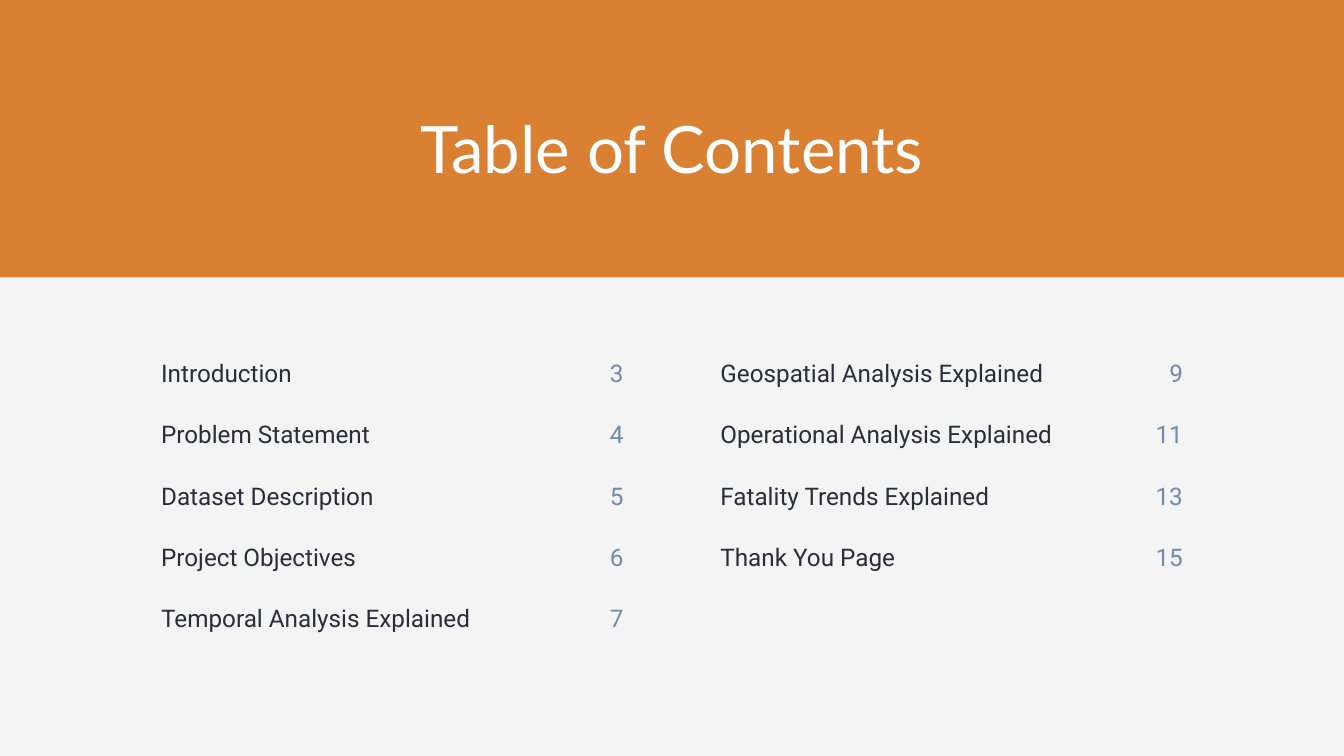
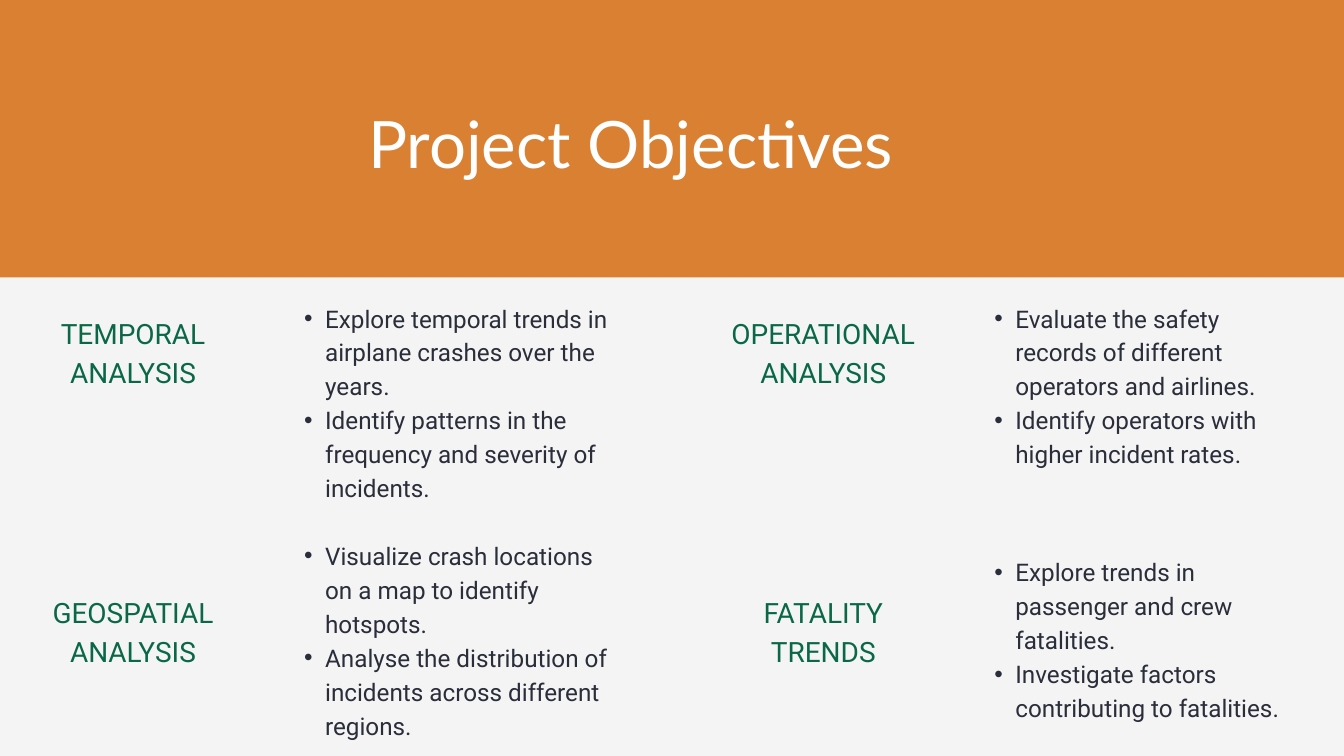
from dataclasses import dataclass

from lxml.etree import SubElement
from pptx import Presentation
from pptx.dml.color import RGBColor
from pptx.enum.shapes import MSO_SHAPE
from pptx.enum.text import MSO_ANCHOR, MSO_AUTO_SIZE, PP_ALIGN
from pptx.oxml.ns import qn
from pptx.util import Cm, Pt


@dataclass(frozen=True)
class TextStyle:
    font: str
    size: float
    line_spacing: float
    color: str


@dataclass(frozen=True)
class Theme:
    band: str = "D98032"
    panel: str = "F4F4F4"
    title: TextStyle = TextStyle("Lato", 70, 91, "FFFFFF")
    label: TextStyle = TextStyle("Roboto", 30, 42, "0A6847")
    body: TextStyle = TextStyle("Roboto", 26, 36.4, "2A2E3A")
    page: TextStyle = TextStyle("Roboto", 26, 36.4, "718BAB")


THEME = Theme()
SLIDE_WIDTH = Cm(50.8)
SLIDE_HEIGHT = Cm(28.58)
PANEL_TOP = Cm(10.49)
TITLE_ONLY_LAYOUT = 5

CONTENTS_TOP = Cm(12.9)
CONTENTS_COLUMNS = (Cm(14.5), Cm(3.84))
CONTENTS_ROW = Cm(2.31)
CONTENTS = [
    (Cm(5.66), [
        ("Introduction", "3"),
        ("Problem Statement", "4"),
        ("Dataset Description", "5"),
        ("Project Objectives", "6"),
        ("Temporal Analysis Explained", "7"),
    ]),
    (Cm(26.8), [
        ("Geospatial Analysis Explained", "9"),
        ("Operational Analysis Explained", "11"),
        ("Fatality Trends Explained", "13"),
        ("Thank You Page", "15"),
    ]),
]

LABEL_WIDTH, LABEL_HEIGHT = Cm(8.84), Cm(3.86)
PILL_HEIGHT = Cm(3.15)
GOALS_OFFSET = Cm(10.13)
GOALS_WIDTH = Cm(12.4)
LEFT, RIGHT = Cm(0.61), Cm(26.7)
UPPER, LOWER = Cm(11.3), Cm(21.84)
# Each objective: left, label top, goals top, goals height, label, goals
OBJECTIVES = [
    (LEFT, UPPER, UPPER, Cm(7.57), "TEMPORAL ANALYSIS", [
        "Explore temporal trends in airplane crashes over the years.",
        "Identify patterns in the frequency and severity of incidents.",
    ]),
    (LEFT, LOWER, Cm(20.27), Cm(7.57), "GEOSPATIAL ANALYSIS", [
        "Visualize crash locations on a map to identify hotspots.",
        "Analyse the distribution of incidents across different regions.",
    ]),
    (RIGHT, UPPER, UPPER, Cm(6.3), "OPERATIONAL ANALYSIS", [
        "Evaluate the safety records of different operators and airlines.",
        "Identify operators with higher incident rates.",
    ]),
    (RIGHT, LOWER, Cm(20.9), Cm(6.3), "FATALITY TRENDS", [
        "Explore trends in passenger and crew fatalities.",
        "Investigate factors contributing to fatalities.",
    ]),
]


def write_paragraph(paragraph, text, style, alignment=PP_ALIGN.LEFT):
    paragraph.alignment = alignment
    paragraph.line_spacing = Pt(style.line_spacing)
    paragraph.space_before = Pt(0)
    run = paragraph.add_run()
    run.text = text
    run.font.name = style.font
    run.font.size = Pt(style.size)
    run.font.color.rgb = RGBColor.from_string(style.color)


def set_frame(frame, margin=0, anchor=MSO_ANCHOR.TOP):
    frame.word_wrap = True
    frame.auto_size = MSO_AUTO_SIZE.NONE
    frame.vertical_anchor = anchor
    frame.margin_left = frame.margin_right = margin
    frame.margin_top = frame.margin_bottom = margin


def add_panel_shape(slide, preset, left, top, width, height):
    shape = slide.shapes.add_shape(preset, left, top, width, height)
    shape.shadow.inherit = False
    shape.fill.solid()
    shape.fill.fore_color.rgb = RGBColor.from_string(THEME.panel)
    shape.line.fill.background()
    return shape


def add_banded_slide(presentation, title, left, top, width, alignment):
    """Add a slide with its title on the band above the light panel."""
    slide = presentation.slides.add_slide(
        presentation.slide_layouts[TITLE_ONLY_LAYOUT])
    add_panel_shape(slide, MSO_SHAPE.RECTANGLE, 0, PANEL_TOP,
                    SLIDE_WIDTH, SLIDE_HEIGHT - PANEL_TOP)
    placeholder = slide.shapes.title
    placeholder.left, placeholder.top = left, top
    placeholder.width, placeholder.height = width, Cm(3.18)
    set_frame(placeholder.text_frame)
    write_paragraph(placeholder.text_frame.paragraphs[0], title,
                    THEME.title, alignment)
    return slide


def set_cell_borders(cell):
    properties = cell._tc.get_or_add_tcPr()
    for side in ("lnL", "lnR", "lnT", "lnB"):
        line = SubElement(properties, qn(f"a:{side}"), w=str(Pt(0.75)))
        fill = SubElement(line, qn("a:solidFill"))
        SubElement(fill, qn("a:srgbClr"), val=THEME.panel)


def fill_cell(cell, text, style, alignment):
    set_cell_borders(cell)
    cell.fill.background()
    cell.vertical_anchor = MSO_ANCHOR.MIDDLE
    cell.margin_left = cell.margin_right = Cm(0.43)
    cell.margin_top = cell.margin_bottom = Cm(0.43)
    write_paragraph(cell.text_frame.paragraphs[0], text, style, alignment)


def add_contents_table(slide, left, entries):
    table = slide.shapes.add_table(
        len(entries), len(CONTENTS_COLUMNS), left, CONTENTS_TOP,
        sum(CONTENTS_COLUMNS), CONTENTS_ROW * len(entries)).table
    table.first_row = table.horz_banding = False
    for column, width in zip(table.columns, CONTENTS_COLUMNS):
        column.width = width
    for row, (section, page) in zip(table.rows, entries):
        row.height = CONTENTS_ROW
        fill_cell(row.cells[0], section, THEME.body, PP_ALIGN.LEFT)
        fill_cell(row.cells[1], page, THEME.page, PP_ALIGN.RIGHT)


def add_label(slide, left, top, text):
    """Add a centred heading over a pill that shares its bottom edge."""
    pill = add_panel_shape(slide, MSO_SHAPE.ROUNDED_RECTANGLE, left,
                           top + LABEL_HEIGHT - PILL_HEIGHT,
                           LABEL_WIDTH, PILL_HEIGHT)
    pill.adjustments[0] = 0.5
    box = slide.shapes.add_textbox(left, top, LABEL_WIDTH, LABEL_HEIGHT)
    set_frame(box.text_frame, Cm(0.15), MSO_ANCHOR.MIDDLE)
    write_paragraph(box.text_frame.paragraphs[0], text, THEME.label,
                    PP_ALIGN.CENTER)


def add_bullet(paragraph):
    paragraph.level = 1
    properties = paragraph._p.get_or_add_pPr()
    properties.set("marL", str(Cm(1.55)))
    properties.set("indent", str(Cm(-0.79)))
    SubElement(properties, qn("a:buFont"), typeface="Arial")
    SubElement(properties, qn("a:buChar"), char="•")


def add_goals(slide, left, top, height, goals):
    box = slide.shapes.add_textbox(left, top, GOALS_WIDTH, height)
    frame = box.text_frame
    set_frame(frame)
    for index, goal in enumerate(goals):
        paragraph = frame.add_paragraph() if index else frame.paragraphs[0]
        add_bullet(paragraph)
        write_paragraph(paragraph, goal, THEME.body)


def add_contents_slide(presentation):
    slide = add_banded_slide(presentation, "Table of Contents", Cm(12.88),
                             Cm(3.86), Cm(25.02), PP_ALIGN.CENTER)
    for left, entries in CONTENTS:
        add_contents_table(slide, left, entries)


def add_objectives_slide(presentation):
    slide = add_banded_slide(presentation, "Project Objectives", Cm(13.92),
                             Cm(3.66), Cm(22.96), PP_ALIGN.LEFT)
    for left, label_top, goals_top, height, label, goals in OBJECTIVES:
        add_label(slide, left, label_top, label)
        add_goals(slide, left + GOALS_OFFSET, goals_top, height, goals)


def main():
    presentation = Presentation()
    presentation.slide_width = SLIDE_WIDTH
    presentation.slide_height = SLIDE_HEIGHT
    background = presentation.slide_master.background.fill
    background.solid()
    background.fore_color.rgb = RGBColor.from_string(THEME.band)
    add_contents_slide(presentation)
    add_objectives_slide(presentation)
    presentation.save("out.pptx")


if __name__ == "__main__":
    main()
